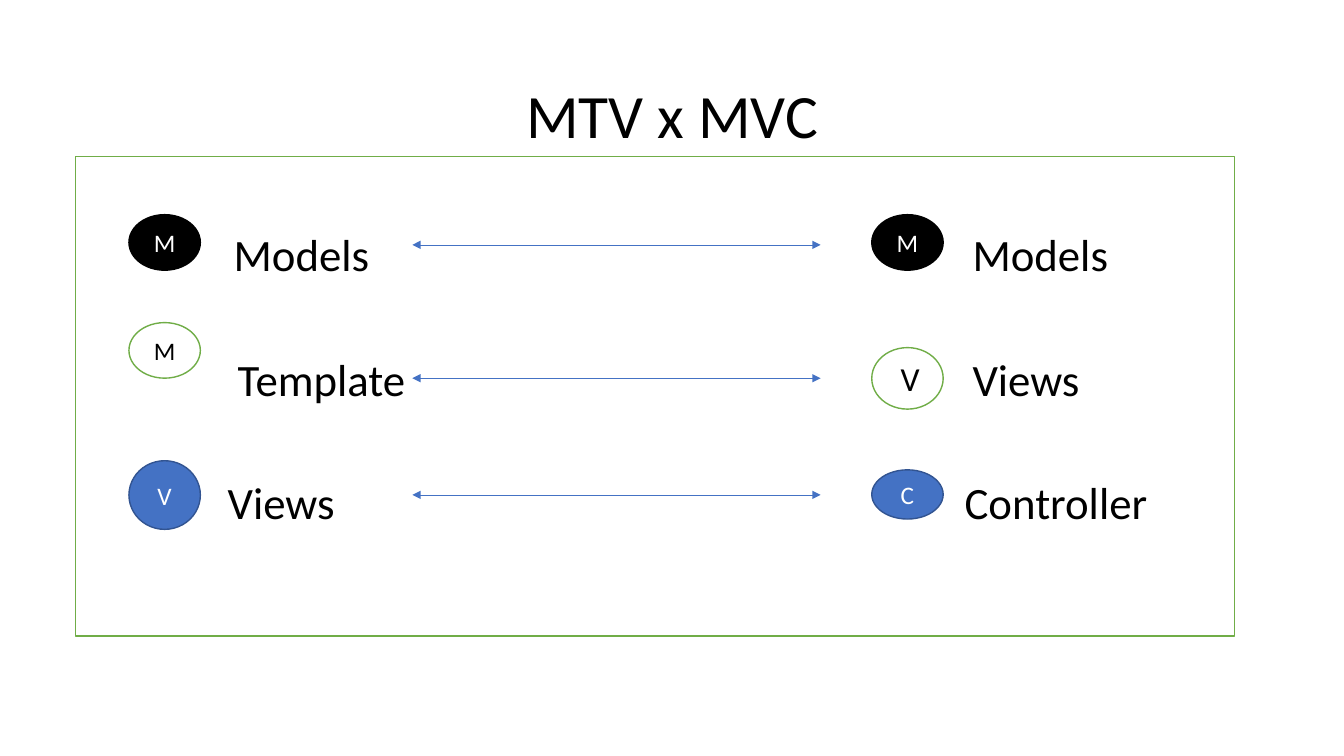
from dataclasses import dataclass

from lxml.etree import SubElement
from pptx import Presentation
from pptx.dml.color import RGBColor
from pptx.enum.shapes import MSO_CONNECTOR, MSO_SHAPE
from pptx.enum.text import MSO_ANCHOR as Anchor, PP_ALIGN as Align
from pptx.oxml.ns import qn
from pptx.shapes.autoshape import Shape
from pptx.shapes.shapetree import SlideShapes
from pptx.util import Cm, Pt

BLACK = RGBColor(0x00, 0x00, 0x00)
WHITE = RGBColor(0xFF, 0xFF, 0xFF)
GREEN = RGBColor(0x70, 0xAD, 0x47)
BLUE = RGBColor(0x44, 0x72, 0xC4)
NAVY = RGBColor(0x32, 0x54, 0x91)
FONT = "Calibri"

BADGE_WIDTH = 1.8
LABEL_WIDTH, LABEL_HEIGHT = 7, 1.6
MTV_LEFT, MVC_LEFT = 3.25, 21.97
ARROW_START, ARROW_END = 10.39, 20.68


@dataclass(frozen=True)
class Style:
    fill: RGBColor
    line: RGBColor
    text: RGBColor


@dataclass(frozen=True)
class Part:
    """One layer of a pattern: a lettered badge and its label (lengths in cm)."""
    letter: str
    top: float
    height: float
    label: str
    label_left: float
    size: int = 18
    indent: float = 0


@dataclass(frozen=True)
class Layer:
    """An MTV part and the MVC part it corresponds to."""
    style: Style
    arrow_y: float
    label_y: float
    mtv: Part
    mvc: Part


LAYERS = [
    Layer(Style(BLACK, BLACK, WHITE), 6.17, 6.4,
          Part("M", 5.41, 1.4, "Models", 5.89),
          Part("M", 5.41, 1.4, "Models", 24.51)),
    Layer(Style(WHITE, GREEN, BLACK), 9.53, 9.55,
          Part("M", 8.13, 1.4, "Template", 5.99),
          Part("V", 8.76, 1.55, "Views", 24.51, size=24, indent=0.14)),
    Layer(Style(BLUE, NAVY, WHITE), 12.47, 12.65,
          Part("V", 11.61, 1.73, "Views", 5.74),
          Part("C", 11.84, 1.24, "Controller", 24.31)),
]


def write(shape: Shape, text: str, size: int, color: RGBColor,
          align: Align = Align.CENTER, indent: float = 0) -> None:
    frame = shape.text_frame
    frame.text = text
    frame.word_wrap = True
    frame.vertical_anchor = Anchor.MIDDLE
    frame.margin_left = Cm(indent)
    frame.margin_right = frame.margin_top = frame.margin_bottom = 0
    paragraph = frame.paragraphs[0]
    paragraph.alignment = align
    font = paragraph.runs[0].font
    font.name, font.size, font.color.rgb = FONT, Pt(size), color


def add_outlined(shapes: SlideShapes, kind: MSO_SHAPE, left: float, top: float,
                 width: float, height: float, style: Style) -> Shape:
    shape = shapes.add_shape(kind, Cm(left), Cm(top), Cm(width), Cm(height))
    shape.shadow.inherit = False
    shape.fill.solid()
    shape.fill.fore_color.rgb = style.fill
    shape.line.color.rgb = style.line
    shape.line.width = Pt(1)
    return shape


def add_part(shapes: SlideShapes, part: Part, left: float, layer: Layer) -> None:
    badge = add_outlined(shapes, MSO_SHAPE.OVAL, left, part.top,
                         BADGE_WIDTH, part.height, layer.style)
    write(badge, part.letter, part.size, layer.style.text, indent=part.indent)
    label = shapes.add_textbox(Cm(part.label_left), Cm(layer.label_y - LABEL_HEIGHT / 2),
                               Cm(LABEL_WIDTH), Cm(LABEL_HEIGHT))
    write(label, part.label, 32, BLACK, Align.LEFT)


def add_double_arrow(shapes: SlideShapes, y: float) -> None:
    arrow = shapes.add_connector(MSO_CONNECTOR.STRAIGHT,
                                 Cm(ARROW_START), Cm(y), Cm(ARROW_END), Cm(y))
    arrow.line.color.rgb = BLUE
    arrow.line.width = Pt(0.5)
    outline = arrow.line._get_or_add_ln()
    for end in ("a:headEnd", "a:tailEnd"):
        SubElement(outline, qn(end), type="triangle")
    SubElement(arrow._element.spPr, qn("a:effectLst"))


deck = Presentation()
deck.slide_width, deck.slide_height = Cm(33.87), Cm(19.05)
shapes = deck.slides.add_slide(deck.slide_layouts[6]).shapes

# Title
title = shapes.add_textbox(Cm(2.34), Cm(1.02), Cm(29.21), Cm(3.68))
write(title, "MTV x MVC", 44, BLACK)

# Frame around the comparison
add_outlined(shapes, MSO_SHAPE.RECTANGLE, 1.9, 3.94, 29.21, 12.09,
             Style(WHITE, GREEN, BLACK))

# Matching layers
for layer in LAYERS:
    add_part(shapes, layer.mtv, MTV_LEFT, layer)
    add_part(shapes, layer.mvc, MVC_LEFT, layer)
    add_double_arrow(shapes, layer.arrow_y)

deck.save("out.pptx")
